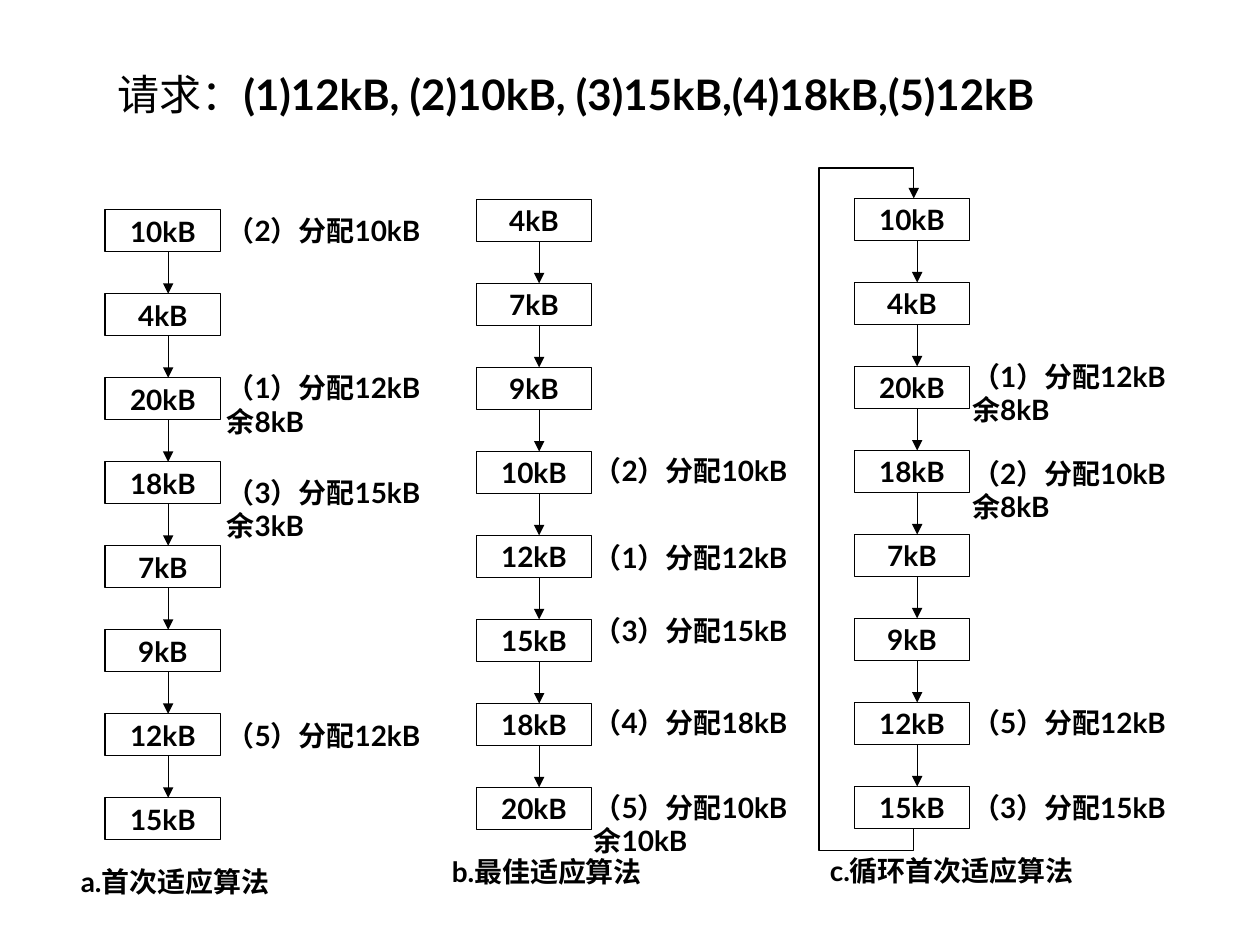
"""Build a slide comparing three memory allocation algorithms on free block chains."""
from lxml import etree
from pptx import Presentation
from pptx import util as u
from pptx.dml.color import RGBColor
from pptx.enum import shapes, text
from pptx.oxml.ns import qn

COLORS = {"ink": "000000"}
BODY = {"name": "Lato", "size": u.Pt(16), "bold": True}
TITLE = {"name": "Lato", "size": u.Pt(24), "bold": False}
INSETS = {"margin_left": u.Cm(0.25), "margin_right": u.Cm(0.25),
          "margin_top": u.Cm(0.13), "margin_bottom": u.Cm(0.13)}
BOX_W = 2.33
PITCH = 5.08 / 3
BOX_H = PITCH / 2
ARROW_DX = 1.27
CAPTION_DX, CAPTION_DY = -0.74, 13.07
NOTE_W, LINE_H, EXTRA_LINE = 4.85, 0.94, 0.69

CHAINS = [
    {"left": 2.12, "top": 4.23, "sizes": [10, 4, 20, 18, 7, 9, 12, 15],
     "caption": "a.首次适应算法", "caption_w": 4.52, "note_left": 4.32,
     "notes": [(4.17, "（2）分配10kB"), (7.34, "（1）分配12kB", "余8kB"),
               (9.45, "（3）分配15kB", "余3kB"), (14.35, "（5）分配12kB")]},
    {"left": 9.6, "top": 4.02, "sizes": [4, 7, 9, 10, 12, 15, 18, 20],
     "caption": "b.最佳适应算法", "caption_w": 4.52, "note_left": 11.72,
     "notes": [(10.77, "（1）分配12kB"), (9.02, "（2）分配10kB"),
               (12.24, "（3）分配15kB"), (14.1, "（4）分配18kB"),
               (15.8, "（5）分配10kB", "余10kB")]},
    {"left": 17.22, "top": 4.0, "sizes": [10, 4, 20, 18, 7, 9, 12, 15],
     "caption": "c.循环首次适应算法", "caption_w": 5.59, "note_left": 19.35,
     "notes": [(7.11, "（1）分配12kB", "余8kB"), (9.07, "（2）分配10kB", "余8kB"),
               (15.8, "（3）分配15kB"), (14.1, "（5）分配12kB")]},
]
LOOP = [(18.42, 16.7), (18.42, 17.15), (16.51, 17.15),
        (16.51, 3.39), (18.42, 3.39), (18.42, 4.0)]


def set_all(obj, values):
    for name, value in values.items():
        setattr(obj, name, value)


def add_run(p, wording, style):
    r = p.add_run()
    r.text = wording
    set_all(r.font, style)
    r.font.color.rgb = RGBColor.from_string(COLORS["ink"])


def style_line(sp, arrow=False):
    sp.line.color.rgb = RGBColor.from_string(COLORS["ink"])
    sp.line.width = u.Pt(0.75)
    if arrow:
        etree.SubElement(sp.line._get_or_add_ln(), qn("a:tailEnd"), type="triangle")


def add_label(parent, left, top, width, lines):
    height = LINE_H + EXTRA_LINE * (len(lines) - 1)
    sp = parent.shapes.add_textbox(u.Cm(left), u.Cm(top), u.Cm(width), u.Cm(height))
    tf = sp.text_frame
    set_all(tf, {**INSETS, "word_wrap": False,
                 "auto_size": text.MSO_AUTO_SIZE.SHAPE_TO_FIT_TEXT})
    for i, line in enumerate(lines):
        add_run(tf.add_paragraph() if i else tf.paragraphs[0], line, BODY)


def add_block(parent, left, top, wording):
    sp = parent.shapes.add_shape(shapes.MSO_SHAPE.RECTANGLE, u.Cm(left), u.Cm(top),
                                 u.Cm(BOX_W), u.Cm(BOX_H))
    sp.shadow.inherit = False
    sp.fill.background()
    style_line(sp)
    tf = sp.text_frame
    set_all(tf, {**INSETS, "word_wrap": False,
                 "vertical_anchor": text.MSO_ANCHOR.MIDDLE})
    p = tf.paragraphs[0]
    p.alignment = text.PP_ALIGN.CENTER
    add_run(p, wording, BODY)


def add_arrow(parent, x, top, bottom):
    sp = parent.shapes.add_connector(shapes.MSO_CONNECTOR.STRAIGHT, u.Cm(x), u.Cm(top),
                                     u.Cm(x), u.Cm(bottom))
    style_line(sp, arrow=True)
    etree.SubElement(sp._element.spPr, qn("a:effectLst"))


def add_loop(parent, points):
    start, *rest = [(u.Cm(x), u.Cm(y)) for x, y in points]
    builder = parent.shapes.build_freeform(*start)
    builder.add_line_segments(rest, close=False)
    sp = builder.convert_to_shape()
    sp.shadow.inherit = False
    sp.fill.background()
    style_line(sp, arrow=True)


def add_chain(s, chain):
    group = s.shapes.add_group_shape()
    left, top = chain["left"], chain["top"]
    for i, size in enumerate(chain["sizes"]):
        y = top + i * PITCH
        add_block(group, left, y, f"{size}kB")
        if i:
            add_arrow(group, left + ARROW_DX, y - PITCH + BOX_H, y)
    add_label(group, left + CAPTION_DX, top + CAPTION_DY,
              chain["caption_w"], [chain["caption"]])
    for y, *lines in chain["notes"]:
        add_label(s, chain["note_left"], y, NOTE_W, lines)
    return group


def add_title(s):
    sp = s.shapes.add_textbox(u.Cm(2.12), u.Cm(1.06), u.Cm(22.44), u.Cm(1.46))
    tf = sp.text_frame
    set_all(tf, {**INSETS, "word_wrap": True,
                 "vertical_anchor": text.MSO_ANCHOR.BOTTOM})
    p = tf.paragraphs[0]
    add_run(p, "请求：", TITLE)
    add_run(p, "(1)12kB, (2)10kB, (3)15kB,(4)18kB,(5)12kB", {**TITLE, "bold": True})


def main():
    prs = Presentation()
    set_all(prs, {"slide_width": u.Cm(25.4), "slide_height": u.Cm(19.05)})
    s = prs.slides.add_slide(prs.slide_layouts[6])
    add_title(s)
    groups = [add_chain(s, chain) for chain in CHAINS]
    add_loop(groups[-1], LOOP)
    prs.save("out.pptx")


if __name__ == "__main__":
    main()
